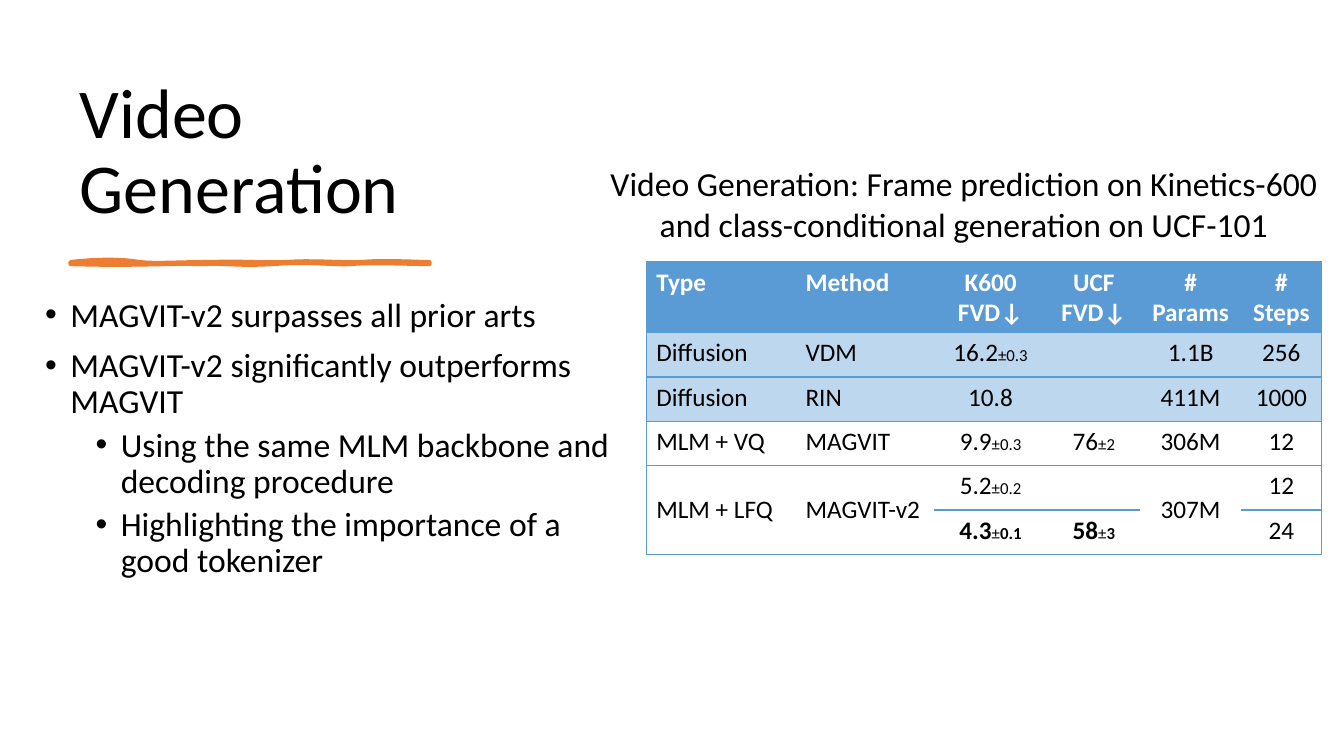
from lxml.etree import SubElement
from pptx import Presentation
from pptx.dml.color import RGBColor
from pptx.enum.text import MSO_ANCHOR, PP_ALIGN
from pptx.oxml.ns import qn
from pptx.util import Inches, Pt

FONT = "Calibri"
BLACK, WHITE, ORANGE = "000000", "FFFFFF", "ED7D31"
BLUE, PALE_BLUE = "5B9BD5", "BDD7EE"

BULLETS = [
    (0, "MAGVIT-v2 surpasses all prior arts"),
    (0, "MAGVIT-v2 significantly outperforms MAGVIT"),
    (1, "Using the same MLM backbone and decoding procedure"),
    (1, "Highlighting the importance of a good tokenizer"),
]
CAPTION = ("Video Generation: Frame prediction on Kinetics-600 "
           "and class-conditional generation on UCF-101")
RESULTS = [
    ["Type", "Method", "K600 FVD↓", "UCF FVD↓", "# Params", "# Steps"],
    ["Diffusion", "VDM", "16.2±0.3", "", "1.1B", "256"],
    ["Diffusion", "RIN", "10.8", "", "411M", "1000"],
    ["MLM + VQ", "MAGVIT", "9.9±0.3", "76±2", "306M", "12"],
    ["MLM + LFQ", "MAGVIT-v2", "5.2±0.2", "", "307M", "12"],
    ["", "", "4.3±0.1", "58±3", "", "24"],
]
ROW_FILLS = [BLUE, PALE_BLUE, PALE_BLUE, WHITE, WHITE, WHITE]
COLUMN_WIDTHS = [1.48, 1.37, 1.13, 0.92, 1, 0.8]
ROW_HEIGHTS = [0.67] + [0.44] * 5
MERGED_COLUMNS = (0, 1, 4)
BEST_CELLS = {(5, 2), (5, 3)}

UNDERLINE_START = (0, 0.02)
UNDERLINE_CURVES = [
    [(0.27, -0.01), (0.51, -0.01), (0.68, 0.02)],
    [(0.85, 0.04), (1.07, 0.02), (1.39, 0.02)],
    [(1.71, 0.01), (1.9, 0.03), (2.14, 0.02)],
    [(2.38, 0), (2.69, 0.03), (2.89, 0.02)],
    [(3.09, 0), (3.42, 0.02), (3.56, 0.02)],
    [(3.56, 0.02), (3.56, 0.03), (3.56, 0.04)],
    [(3.38, 0.04), (2.94, 0.02), (2.78, 0.04)],
    [(2.62, 0.05), (2.34, 0.01), (2, 0.04)],
    [(1.65, 0.06), (1.61, 0.03), (1.29, 0.04)],
    [(0.96, 0.03), (0.62, 0.06), (0, 0.04)],
]


def color(value):
    """Turn a hex string into a colour."""
    return RGBColor.from_string(value)


def format_run(run, size, hex_color=BLACK, bold=False):
    """Set the font of one run."""
    run.font.name = FONT
    run.font.size = Pt(size)
    run.font.bold = bold
    run.font.color.rgb = color(hex_color)


def place_title(slide, left, top, width, height):
    """Place and format the title placeholder."""
    title = slide.shapes.title
    title.left, title.top = Inches(left), Inches(top)
    title.width, title.height = Inches(width), Inches(height)
    frame = title.text_frame
    frame.text = "Video Generation"
    frame.word_wrap = True
    frame.vertical_anchor = MSO_ANCHOR.BOTTOM
    paragraph = frame.paragraphs[0]
    paragraph.alignment = PP_ALIGN.LEFT
    paragraph.line_spacing = 0.9
    format_run(paragraph.runs[0], 50)


def curve_points(start, controls, steps=8):
    """Return points along one cubic curve, leaving out its start."""
    corners = [start, *controls]
    points = []
    for step in range(1, steps + 1):
        t = step / steps
        weights = ((1 - t) ** 3, 3 * t * (1 - t) ** 2, 3 * t * t * (1 - t), t ** 3)
        points.append(tuple(sum(weight * corner[axis] for weight, corner in zip(weights, corners))
                            for axis in (0, 1)))
    return points


def draw_underline(slide, left, top):
    """Draw the hand-drawn stroke below the title."""
    points = [UNDERLINE_START]
    for controls in UNDERLINE_CURVES:
        points += curve_points(points[-1], controls)
    placed = [(Inches(left + x), Inches(top + y)) for x, y in points]
    builder = slide.shapes.build_freeform(*placed[0])
    builder.add_line_segments(placed[1:], close=True)
    stroke = builder.convert_to_shape()
    stroke.shadow.inherit = False
    stroke.fill.solid()
    stroke.fill.fore_color.rgb = color(ORANGE)
    stroke.line.color.rgb = color(ORANGE)
    stroke.line.width = Pt(3)


def add_text_frame(slide, left, top, width, height):
    """Add a wrapping text box and return its text frame."""
    box = slide.shapes.add_textbox(Inches(left), Inches(top), Inches(width), Inches(height))
    box.text_frame.word_wrap = True
    return box.text_frame


def add_bullets(slide, left, top, width, height):
    """Add the two-level list of findings."""
    frame = add_text_frame(slide, left, top, width, height)
    frame.text = "\n".join(text for _, text in BULLETS)
    for index, (paragraph, (level, _)) in enumerate(zip(frame.paragraphs, BULLETS)):
        paragraph.level = level
        properties = paragraph._p.get_or_add_pPr()
        properties.set("marL", str(Inches(0.25 + 0.5 * level)))
        properties.set("indent", str(Inches(-0.25)))
        SubElement(properties, qn("a:buFont"), typeface="Arial")
        SubElement(properties, qn("a:buChar"), char="•")
        paragraph.line_spacing = 0.9
        paragraph.space_before = Pt((5 if level else 10) if index else 0)
        format_run(paragraph.runs[0], 24)


def add_caption(slide, left, top, width, height):
    """Add the centred heading above the table."""
    frame = add_text_frame(slide, left, top, width, height)
    frame.text = CAPTION
    frame.paragraphs[0].alignment = PP_ALIGN.CENTER
    format_run(frame.paragraphs[0].runs[0], 24)


def set_borders(cell, visible_sides):
    """Draw the named sides of a cell and hide the others."""
    properties = cell._tc.get_or_add_tcPr()
    for side in "LRTB":
        line = SubElement(properties, qn(f"a:ln{side}"), w=str(Pt(1)))
        if side in visible_sides:
            fill = SubElement(line, qn("a:solidFill"))
            SubElement(fill, qn("a:srgbClr"), val=BLUE)
        else:
            SubElement(line, qn("a:noFill"))


def fill_cell(cell, row, column):
    """Write and format one cell of the results table."""
    outer_sides = {0: "L", len(COLUMN_WIDTHS) - 1: "R"}
    set_borders(cell, "TB" + outer_sides.get(column, ""))
    cell.fill.solid()
    cell.fill.fore_color.rgb = color(ROW_FILLS[row])
    paragraph = cell.text_frame.paragraphs[0]
    paragraph.alignment = PP_ALIGN.CENTER if column > 1 else PP_ALIGN.LEFT
    bold = row == 0 or (row, column) in BEST_CELLS
    value, sign, error = RESULTS[row][column].partition("±")
    for text, size, is_bold in ((value, 18, bold), (sign, 12, False), (error, 12, bold)):
        if text:
            run = paragraph.add_run()
            run.text = text
            format_run(run, size, BLACK if row else WHITE, is_bold)


def add_results_table(slide, left, top):
    """Add the comparison of video generation methods."""
    shape = slide.shapes.add_table(
        len(ROW_HEIGHTS), len(COLUMN_WIDTHS), Inches(left), Inches(top),
        Inches(sum(COLUMN_WIDTHS)), Inches(sum(ROW_HEIGHTS)))
    table = shape.table
    table.first_row = table.horz_banding = False
    for column, width in zip(table.columns, COLUMN_WIDTHS):
        column.width = Inches(width)
    for row, height in zip(table.rows, ROW_HEIGHTS):
        row.height = Inches(height)
    for row in range(len(ROW_HEIGHTS)):
        for column in range(len(COLUMN_WIDTHS)):
            fill_cell(table.cell(row, column), row, column)
    for column in MERGED_COLUMNS:
        table.cell(4, column).merge(table.cell(5, column))
        table.cell(4, column).vertical_anchor = MSO_ANCHOR.MIDDLE


def main():
    """Build and save the slide."""
    presentation = Presentation()
    presentation.slide_width, presentation.slide_height = Inches(13.33), Inches(7.5)
    slide = presentation.slides.add_slide(presentation.slide_layouts[5])
    place_title(slide, 0.69, 0.7, 5.1, 1.62)
    draw_underline(slide, 0.7, 2.58)
    add_bullets(slide, 0.35, 2.91, 5.82, 4.16)
    add_results_table(slide, 6.41, 2.6)
    add_caption(slide, 5.83, 1.57, 7.46, 0.91)
    presentation.save("out.pptx")


if __name__ == "__main__":
    main()
